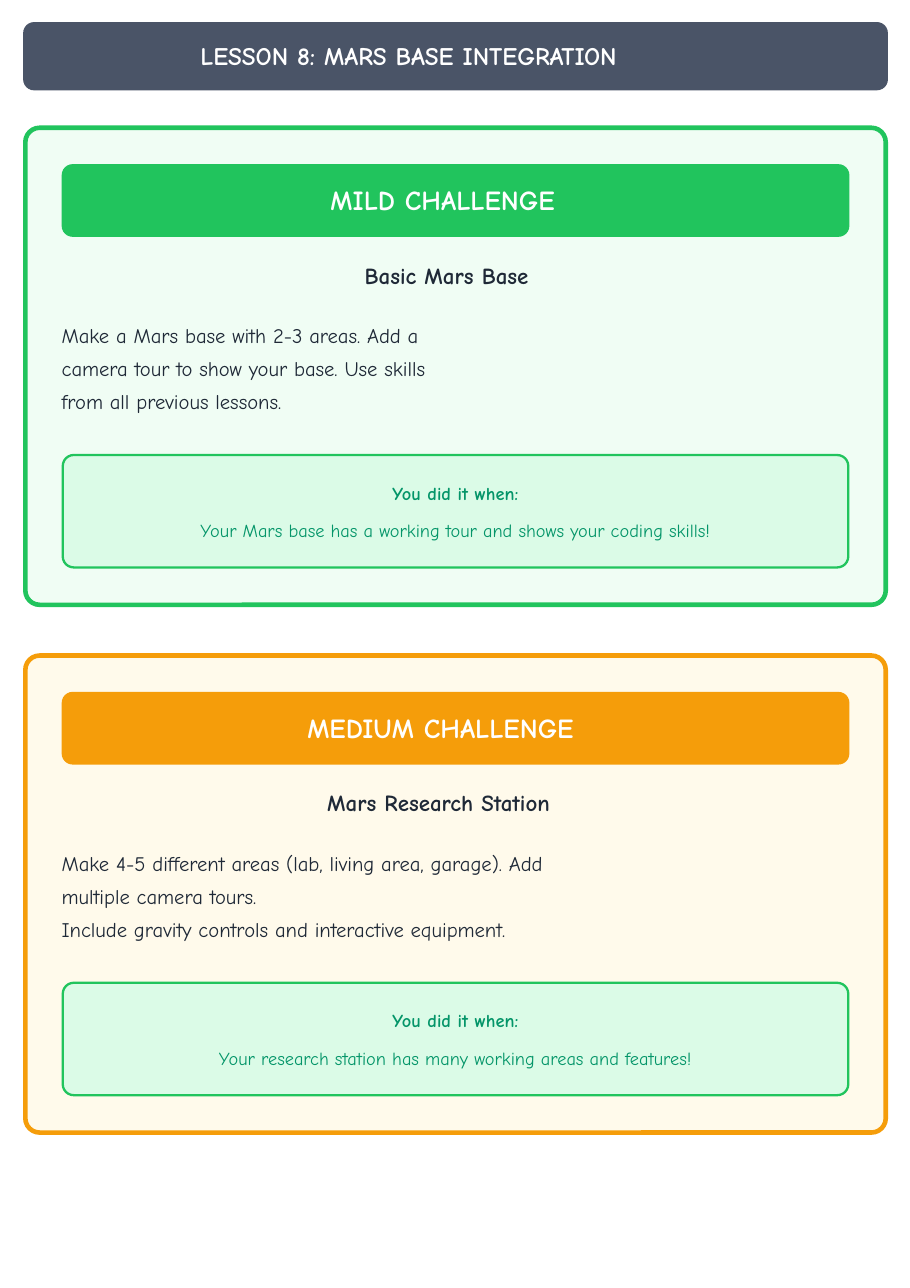
import pptx
import pptx.util
import pptx.dml.color
import pptx.enum.shapes
import pptx.enum.text

RGBColor = pptx.dml.color.RGBColor
Pt = pptx.util.Pt
ALIGN = pptx.enum.text.PP_ALIGN
ANCHOR = pptx.enum.text.MSO_ANCHOR

WHITE = RGBColor(0xFF, 0xFF, 0xFF)
SLATE = RGBColor(0x4A, 0x54, 0x67)
INK = RGBColor(0x1F, 0x29, 0x37)
GREEN = RGBColor(0x21, 0xC4, 0x5D)
MINT = RGBColor(0xF0, 0xFD, 0xF4)
PALE_GREEN = RGBColor(0xDB, 0xFB, 0xE7)
TEAL = RGBColor(0x04, 0x95, 0x69)
ORANGE = RGBColor(0xF5, 0x9D, 0x0A)
CREAM = RGBColor(0xFF, 0xFA, 0xEB)

COLS, ROWS = 82.6, 116.9
CARD_TOP, CARD_PITCH = 11.6, 47.9

CHALLENGES = [
    dict(name="MILD CHALLENGE", name_col=29.9, color=GREEN, tint=MINT,
         project="Basic Mars Base", project_indent=27.6, width=44.3, right=8,
         tasks=["Make a Mars base with 2-3 areas. Add a camera tour to show "
                "your base. Use skills from all previous lessons."],
         goal="Your Mars base has a working tour and shows your coding skills!"),
    dict(name="MEDIUM CHALLENGE", name_col=27.8, color=ORANGE, tint=CREAM,
         project="Mars Research Station", project_indent=24.2, width=47.6, right=0,
         tasks=["Make 4-5 different areas (lab, living area, garage). "
                "Add multiple camera tours.",
                "Include gravity controls and interactive equipment."],
         goal="Your research station has many working areas and features!"),
]


class Worksheet:
    """Holds the slide, its font and a grid of tenth-inch cells."""

    def __init__(self, prs, font="Comic Neue"):
        self.s = prs.slides.add_slide(prs.slide_layouts[6])
        self.font = font
        self.col = prs.slide_width / COLS
        self.row = prs.slide_height / ROWS

    def area(self, x, y, w, h):
        return (round(x * self.col), round(y * self.row),
                round(w * self.col), round(h * self.row))

    def panel(self, x, y, w, h, fill, radius=1, line=None, weight=1.5):
        """Adds a rounded rectangle with its corner radius in cells."""
        sp = self.s.shapes.add_shape(
            pptx.enum.shapes.MSO_SHAPE.ROUNDED_RECTANGLE, *self.area(x, y, w, h))
        sp.adjustments[0] = radius / min(w, h)
        sp.shadow.inherit = False
        sp.fill.solid()
        sp.fill.fore_color.rgb = fill
        if line is None:
            sp.line.fill.background()
        else:
            sp.line.color.rgb = line
            sp.line.width = Pt(weight)
        return self.frame(sp, ANCHOR.MIDDLE)

    def box(self, x, y, w, h):
        sp = self.s.shapes.add_textbox(*self.area(x, y, w, h))
        return self.frame(sp, ANCHOR.TOP)

    def frame(self, sp, anchor):
        tf = sp.text_frame
        tf.word_wrap = True
        tf.vertical_anchor = anchor
        tf.margin_left = tf.margin_right = tf.margin_bottom = 0
        tf.margin_top = Pt(0.7)
        return tf

    def text(self, tf, text, size, color, bold=False, align=ALIGN.LEFT,
             before=1, spacing=1.0, indent=0.1, right=0):
        """Writes one paragraph, using the empty first one if there is one."""
        p = tf.add_paragraph() if tf.text else tf.paragraphs[0]
        p.alignment = align
        p.space_before = Pt(before)
        p.line_spacing = spacing
        pPr = p._p.get_or_add_pPr()
        pPr.set("marL", str(round(indent * self.col)))
        pPr.set("marR", str(round(right * self.col)))
        r = p.add_run()
        r.text = text
        r.font.name = self.font
        r.font.size = Pt(size)
        r.font.bold = bold
        r.font.color.rgb = color

    def banner(self, text):
        self.panel(2.1, 2, 78.5, 6.2, SLATE)
        self.text(self.box(18.1, 3.6, 50, 3), text, 16.5, WHITE, bold=True)

    def challenge(self, top, name, name_col, color, tint, project,
                  project_indent, width, right, tasks, goal):
        self.panel(2.3, top, 78.1, 43.3, tint, 1.3, color, 3)
        self.panel(5.6, top + 3.3, 71.5, 6.6, color)
        self.text(self.box(name_col, top + 4.9, 32, 3.3), name, 18, WHITE, bold=True)

        tf = self.box(5.5, top + 12, width, 14.2)
        self.text(tf, project, 15, INK, bold=True, indent=project_indent)
        for i, task in enumerate(tasks):
            before, spacing = (5.5, 1.0) if i else (16.9, 1.34)
            self.text(tf, task, 13.5, INK, before=before, spacing=spacing, right=right)

        tf = self.panel(5.7, top + 29.7, 71.3, 10.2, PALE_GREEN, line=GREEN)
        self.text(tf, "You did it when:", 12, TEAL, bold=True,
                  align=ALIGN.CENTER, indent=0)
        self.text(tf, goal, 12, TEAL, align=ALIGN.CENTER, before=10.3, indent=0)


def main():
    prs = pptx.Presentation()
    prs.slide_width = pptx.util.Inches(8.26)
    prs.slide_height = pptx.util.Inches(11.69)
    sheet = Worksheet(prs)
    sheet.banner("LESSON 8: MARS BASE INTEGRATION")
    for i, challenge in enumerate(CHALLENGES):
        sheet.challenge(CARD_TOP + i * CARD_PITCH, **challenge)
    prs.save("out.pptx")


if __name__ == "__main__":
    main()
